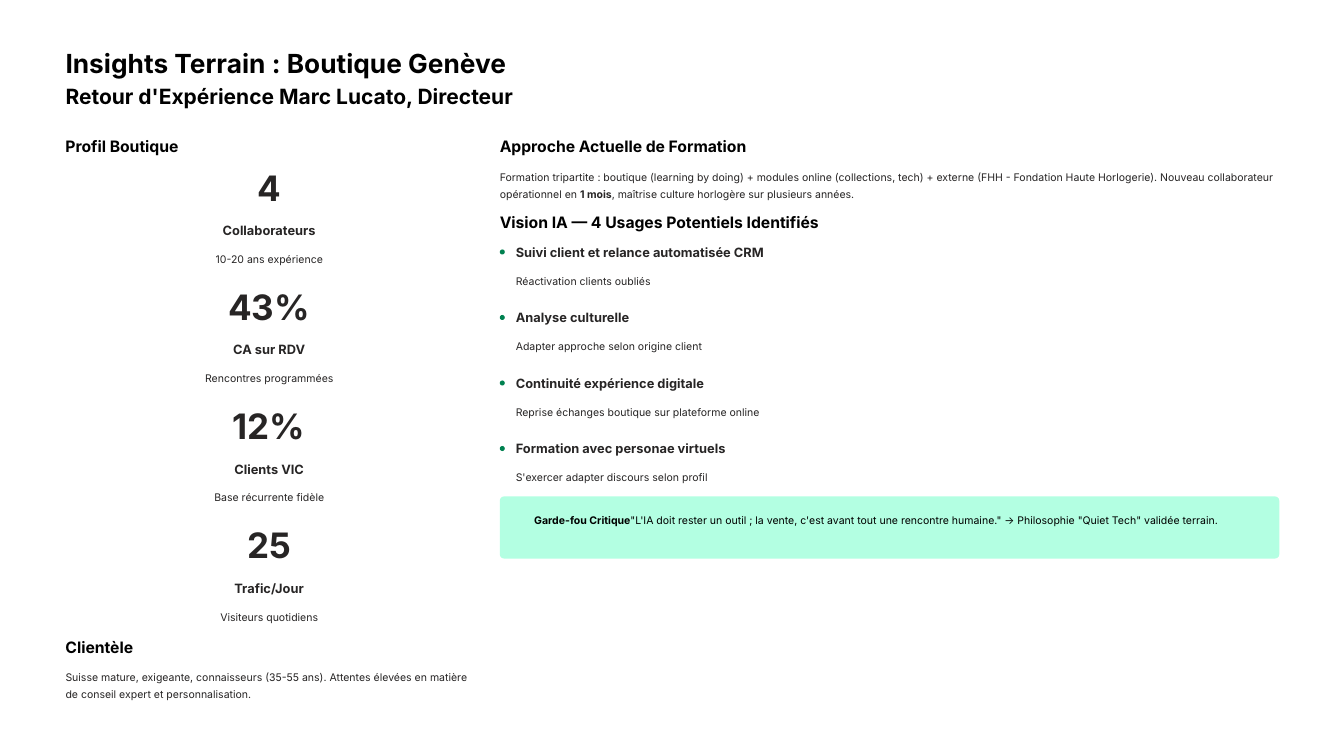
from pptx import Presentation
from pptx.dml.color import RGBColor
from pptx.enum.shapes import MSO_SHAPE
from pptx.enum.text import MSO_ANCHOR, MSO_AUTO_SIZE, PP_ALIGN
from pptx.util import Inches, Pt

LEFT, CENTER = PP_ALIGN.LEFT, PP_ALIGN.CENTER
TOP = MSO_ANCHOR.TOP
NO_FIT = MSO_AUTO_SIZE.NONE
ROUNDED = MSO_SHAPE.ROUNDED_RECTANGLE
TITLE_ONLY = 5

FONT = "Inter"
COLORS = {
    "white": "FFFFFF",
    "black": "000000",
    "body": "272525",
    "bullet": "008150",
    "callout": "B3FFE2",
}
# Each style: size, line spacing, bold, colour
STYLES = {
    "title": (22.5, 28.5, True, "black"),
    "subtitle": (18, 22.5, True, "black"),
    "heading": (13.5, 17, True, "black"),
    "figure": (30, 30, True, "body"),
    "label": (11, 14, True, "body"),
    "detail": (9, 14.5, False, "body"),
    "callout": (9, 14.5, False, "black"),
}

LEFT_X, LEFT_W = 0.78, 4.85
RIGHT_X, RIGHT_W = 5.95, 9.28
USAGE_X, USAGE_W = 6.14, 9.09
STAT_TOP, STAT_STEP = 2.06, 1.42
USAGE_TOP, USAGE_STEP = 2.9, 0.78
DOT = 0.06

STATS = [
    ("4", "Collaborateurs", "10-20 ans expérience"),
    ("43%", "CA sur RDV", "Rencontres programmées"),
    ("12%", "Clients VIC", "Base récurrente fidèle"),
    ("25", "Trafic/Jour", "Visiteurs quotidiens"),
]
USAGES = [
    ("Suivi client et relance automatisée CRM", "Réactivation clients oubliés"),
    ("Analyse culturelle", "Adapter approche selon origine client"),
    ("Continuité expérience digitale", "Reprise échanges boutique sur plateforme online"),
    ("Formation avec personae virtuels", "S'exercer adapter discours selon profil"),
]


def color(name):
    return RGBColor.from_string(COLORS[name])


def write(box, style, spans, align=LEFT, wrap=False):
    """Fill a box with one paragraph of (text, bold) spans."""
    size, leading, _, tint = STYLES[style]
    frame = box.text_frame
    frame.margin_left = frame.margin_right = 0
    frame.margin_top = frame.margin_bottom = 0
    frame.auto_size = NO_FIT
    frame.word_wrap = wrap
    frame.vertical_anchor = TOP
    para = frame.paragraphs[0]
    para.alignment = align
    para.line_spacing = Pt(leading)
    for text, bold in spans:
        span = para.add_run()
        span.text = text
        span.font.name = FONT
        span.font.size = Pt(size)
        span.font.bold = bold
        span.font.color.rgb = color(tint)


def add_spans(page, style, spans, x, y, w, h, align=LEFT, wrap=False):
    box = page.shapes.add_textbox(Inches(x), Inches(y), Inches(w), Inches(h))
    write(box, style, spans, align, wrap)


def add_line(page, style, text, x, y, w, h, align=LEFT, wrap=False):
    add_spans(page, style, [(text, STYLES[style][2])], x, y, w, h, align, wrap)


def add_rounded(page, fill, x, y, w, h, rounding):
    shape = page.shapes.add_shape(ROUNDED, Inches(x), Inches(y), Inches(w), Inches(h))
    shape.adjustments[0] = rounding
    shape.shadow.inherit = False
    shape.fill.solid()
    shape.fill.fore_color.rgb = color(fill)
    shape.line.fill.background()


def add_title(page, text):
    title = page.shapes.title
    title.left, title.top = Inches(LEFT_X), Inches(0.54)
    title.width, title.height = Inches(5.32), Inches(0.4)
    write(title, "title", [(text, True)])


def add_stat(page, y, figure, label, detail):
    add_line(page, "figure", figure, LEFT_X, y, LEFT_W, 0.42, CENTER)
    add_line(page, "label", label, LEFT_X, y + 0.58, LEFT_W, 0.2, CENTER)
    add_line(page, "detail", detail, LEFT_X, y + 0.9, LEFT_W, 0.2, CENTER)


def add_usage(page, y, label, detail):
    add_rounded(page, "bullet", RIGHT_X, y + 0.07, DOT, DOT, 0.5)
    add_line(page, "label", label, USAGE_X, y, USAGE_W, 0.2)
    add_line(page, "detail", detail, USAGE_X, y + 0.32, USAGE_W, 0.2)


def main():
    deck = Presentation()
    deck.slide_width, deck.slide_height = Inches(16), Inches(9)
    page = deck.slides.add_slide(deck.slide_layouts[TITLE_ONLY])
    page.background.fill.solid()
    page.background.fill.fore_color.rgb = color("white")

    # Title and subtitle
    add_title(page, "Insights Terrain : Boutique Genève")
    add_line(page, "subtitle", "Retour d'Expérience Marc Lucato, Directeur",
             LEFT_X, 0.98, 5.41, 0.32)

    # Left column: shop profile and customers
    add_line(page, "heading", "Profil Boutique", LEFT_X, 1.62, 1.9, 0.24)
    for index, stat in enumerate(STATS):
        add_stat(page, STAT_TOP + index * STAT_STEP, *stat)
    add_line(page, "heading", "Clientèle", LEFT_X, 7.58, 1.9, 0.24)
    add_line(page, "detail",
             "Suisse mature, exigeante, connaisseurs (35-55 ans). Attentes élevées "
             "en matière de conseil expert et personnalisation.",
             LEFT_X, 7.94, LEFT_W, 0.41, wrap=True)

    # Right column: training and AI usages
    add_line(page, "heading", "Approche Actuelle de Formation", RIGHT_X, 1.62, 2.99, 0.24)
    training = [
        ("Formation tripartite : boutique (learning by doing) + modules online "
         "(collections, tech) + externe (FHH - Fondation Haute Horlogerie). "
         "Nouveau collaborateur opérationnel en ", False),
        ("1 mois", True),
        (", maîtrise culture horlogère sur plusieurs années.", False),
    ]
    add_spans(page, "detail", training, RIGHT_X, 1.98, RIGHT_W, 0.41, wrap=True)
    add_line(page, "heading", "Vision IA — 4 Usages Potentiels Identifiés",
             RIGHT_X, 2.52, 3.87, 0.24)
    for index, usage in enumerate(USAGES):
        add_usage(page, USAGE_TOP + index * USAGE_STEP, *usage)

    # Callout
    add_rounded(page, "callout", RIGHT_X, 5.91, RIGHT_W, 0.74, 0.07)
    safeguard = [
        ("Garde-fou Critique", True),
        ("\"L'IA doit rester un outil ; la vente, c'est avant tout une rencontre "
         "humaine.\" → Philosophie \"Quiet Tech\" validée terrain.", False),
    ]
    add_spans(page, "callout", safeguard, 6.36, 6.07, 8.74, 0.41, wrap=True)

    deck.save("out.pptx")


if __name__ == "__main__":
    main()
